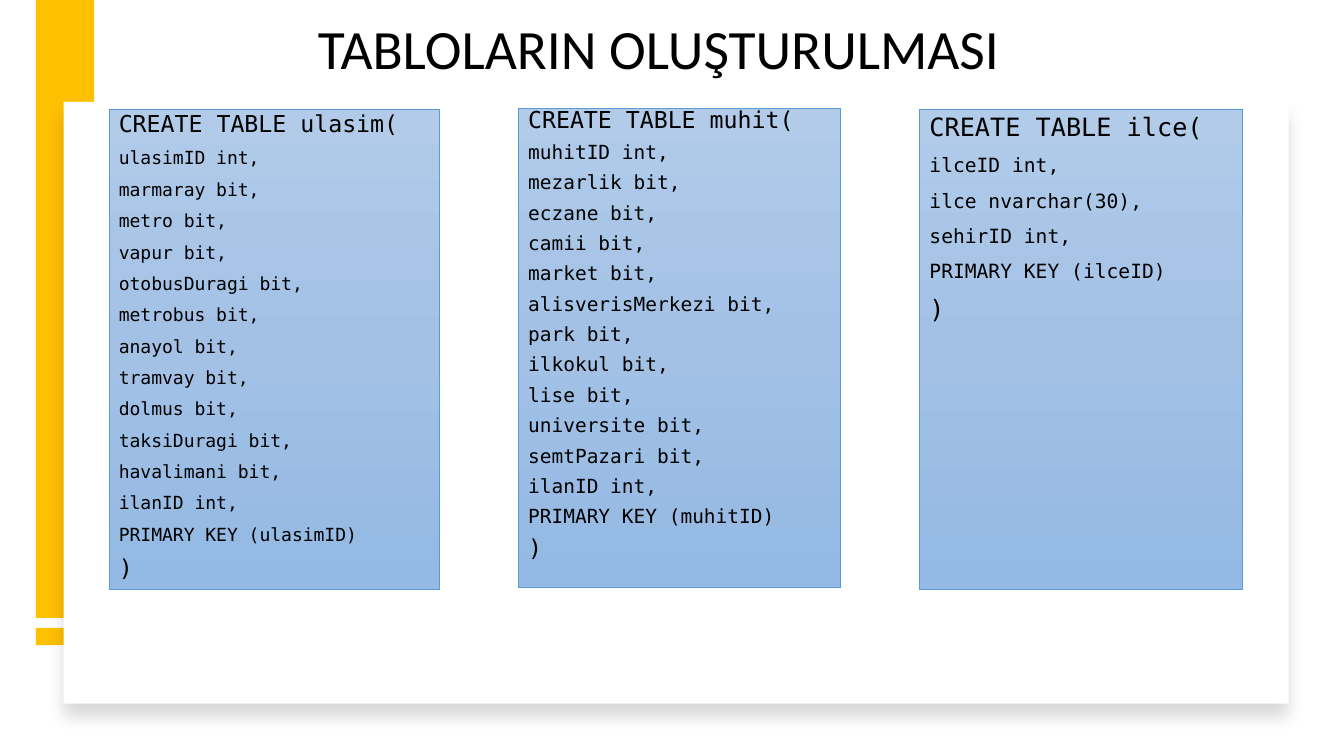
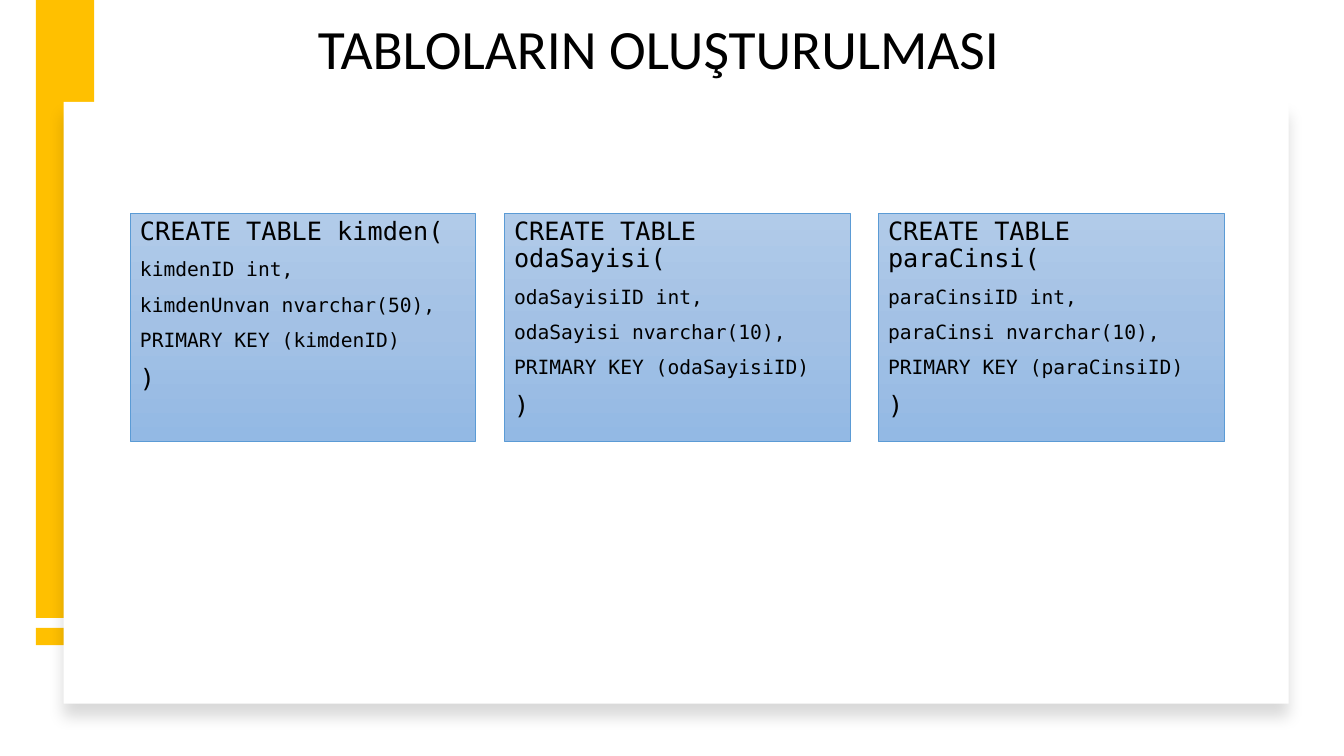
import copy
import dataclasses

import pptx
import pptx.dml.color
import pptx.enum.shapes
import pptx.enum.text
import pptx.oxml
import pptx.oxml.ns
import pptx.util

COLORS = {
    "accent": "FFC000", "panel": "FFFFFF", "text": "000000", "border": "5B9BD5",
    "card_top": "B1CBE9", "card_mid": "A3C1E5", "card_bottom": "93B9E4",
}
TITLE_FONT, CODE_FONT = "Calibri", "DejaVu Sans Mono"
TITLE = "TABLOLARIN OLUŞTURULMASI"
SLIDE_W, SLIDE_H = pptx.util.Inches(13.33), pptx.util.Inches(7.5)


@dataclasses.dataclass(frozen=True)
class Box:
    """A rectangle in percent of the slide's width and height."""
    left: float
    top: float
    width: float
    height: float

    def emu(self) -> tuple[int, int, int, int]:
        return (round(SLIDE_W * self.left / 100), round(SLIDE_H * self.top / 100),
                round(SLIDE_W * self.width / 100), round(SLIDE_H * self.height / 100))


@dataclasses.dataclass(frozen=True)
class TableCard:
    """A CREATE TABLE statement whose key column is the table name plus ID."""
    name: str
    columns: tuple[str, ...]
    box: Box
    outer_size: float = 18
    column_size: float = 14
    line_spacing: float = 0.9

    def lines(self) -> list[tuple[str, float]]:
        body = (f"{self.name}ID int,", *(f"{c}," for c in self.columns),
                f"PRIMARY KEY ({self.name}ID)")
        return [(f"CREATE TABLE {self.name}(", self.outer_size),
                *((line, self.column_size) for line in body),
                (")", self.outer_size)]


def bits(names: str) -> tuple[str, ...]:
    return tuple(f"{name} bit" for name in names.split())


# Shared frame
TITLE_BOX = Box(7.65, 1.87, 81.4, 10)
ACCENTS = (Box(2.66, 83.07, 4.35, 2.27), Box(2.66, 0, 4.35, 81.73))
PANEL = Box(4.73, 13.47, 91.15, 79.6)

# Cards of each slide
LONG_CARDS = (
    TableCard("ulasim",
              bits("marmaray metro vapur otobusDuragi metrobus anayol tramvay "
                   "dolmus taksiDuragi havalimani") + ("ilanID int",),
              Box(8.1, 14.53, 24.6, 63.47), 16.6, 12.9, 0.8),
    TableCard("muhit",
              bits("mezarlik eczane camii market alisverisMerkezi park ilkokul "
                   "lise universite semtPazari") + ("ilanID int",),
              Box(38.56, 14.27, 24, 63.47), 16.6, 13.9, 0.7),
    TableCard("ilce", ("ilce nvarchar(30)", "sehirID int"),
              Box(68.42, 14.53, 24, 63.47)),
)
SHORT_TABLES = (("kimden", "kimdenUnvan nvarchar(50)"),
                ("odaSayisi", "odaSayisi nvarchar(10)"),
                ("paraCinsi", "paraCinsi nvarchar(10)"))
SHORT_CARDS = tuple(
    TableCard(name, (column,), Box(9.68 + 27.83 * i, 28.27, 25.73, 30.13))
    for i, (name, column) in enumerate(SHORT_TABLES))


def rgb(name: str) -> pptx.dml.color.RGBColor:
    return pptx.dml.color.RGBColor.from_string(COLORS[name])


def add_rect(s: pptx.slide.Slide, box: Box) -> pptx.shapes.autoshape.Shape:
    sp = s.shapes.add_shape(pptx.enum.shapes.MSO_SHAPE.RECTANGLE, *box.emu())
    sp.shadow.inherit = False
    return sp


def add_plain_rect(s: pptx.slide.Slide, box: Box,
                   color: str) -> pptx.shapes.autoshape.Shape:
    sp = add_rect(s, box)
    sp.fill.solid()
    sp.fill.fore_color.rgb = rgb(color)
    sp.line.fill.background()
    return sp


def add_soft_shadow(sp: pptx.shapes.autoshape.Shape) -> None:
    effects = sp._element.spPr.find(pptx.oxml.ns.qn("a:effectLst"))
    effects.append(pptx.oxml.parse_xml(
        f'<a:outerShdw {pptx.oxml.ns.nsdecls("a")} blurRad="139700" dist="127000" '
        'dir="5400000" algn="t" rotWithShape="0"><a:srgbClr val="000000">'
        '<a:alpha val="15000"/></a:srgbClr></a:outerShdw>'))


def fill_gradient(sp: pptx.shapes.autoshape.Shape) -> None:
    sp.fill.gradient()
    sp.fill.gradient_angle = 270
    stop_list = next(sp._element.spPr.iter(pptx.oxml.ns.qn("a:gsLst")))
    stop_list.insert(1, copy.deepcopy(stop_list[0]))
    names = ("card_top", "card_mid", "card_bottom")
    for i, (stop, name) in enumerate(zip(sp.fill.gradient_stops, names)):
        stop.position = i / 2
        stop.color.rgb = rgb(name)


def add_run(p: pptx.text.text._Paragraph, text: str, size: float, font: str) -> None:
    r = p.add_run()
    r.text = text
    r.font.size = pptx.util.Pt(size)
    r.font.name = font
    r.font.color.rgb = rgb("text")
    p.alignment = pptx.enum.text.PP_ALIGN.LEFT


def add_card(s: pptx.slide.Slide, card: TableCard) -> None:
    sp = add_rect(s, card.box)
    fill_gradient(sp)
    sp.line.color.rgb = rgb("border")
    sp.line.width = pptx.util.Pt(0.5)
    tf = sp.text_frame
    tf.word_wrap = True
    tf.vertical_anchor = pptx.enum.text.MSO_ANCHOR.TOP
    for i, (text, size) in enumerate(card.lines()):
        p = tf.add_paragraph() if i else tf.paragraphs[0]
        p.line_spacing = card.line_spacing
        p.space_before = pptx.util.Pt(10)
        add_run(p, text, size, CODE_FONT)


def set_title(s: pptx.slide.Slide) -> None:
    sp = s.shapes.title
    sp.left, sp.top, sp.width, sp.height = TITLE_BOX.emu()
    tf = sp.text_frame
    tf.auto_size = pptx.enum.text.MSO_AUTO_SIZE.NONE
    tf.vertical_anchor = pptx.enum.text.MSO_ANCHOR.MIDDLE
    tf.margin_left = round(SLIDE_W * 0.16)
    p = tf.paragraphs[0]
    p.line_spacing = 0.9
    add_run(p, TITLE, 39.6, TITLE_FONT)


def add_slide(prs: pptx.presentation.Presentation,
              cards: tuple[TableCard, ...]) -> None:
    s = prs.slides.add_slide(prs.slide_layouts.get_by_name("Title Only"))
    set_title(s)
    for box in ACCENTS:
        add_plain_rect(s, box, "accent")
    add_soft_shadow(add_plain_rect(s, PANEL, "panel"))
    for card in cards:
        add_card(s, card)


def main() -> None:
    prs = pptx.Presentation()
    prs.slide_width, prs.slide_height = SLIDE_W, SLIDE_H
    for cards in (LONG_CARDS, SHORT_CARDS):
        add_slide(prs, cards)
    prs.save("out.pptx")


if __name__ == "__main__":
    main()
